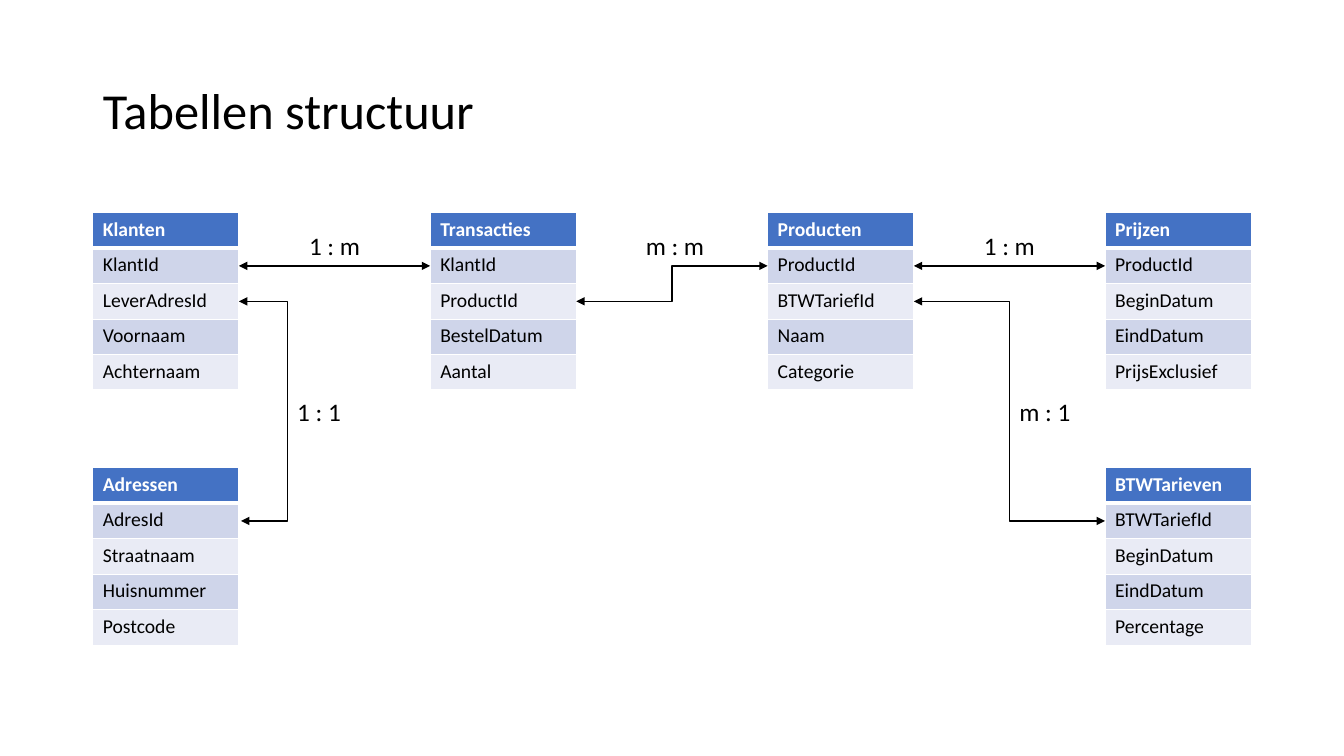
from lxml import etree
from pptx import Presentation
from pptx.dml.color import RGBColor
from pptx.enum.shapes import MSO_CONNECTOR
from pptx.enum.text import MSO_ANCHOR, MSO_AUTO_SIZE, PP_ALIGN
from pptx.oxml.ns import qn
from pptx.util import Inches, Pt

STRAIGHT, ELBOW = MSO_CONNECTOR.STRAIGHT, MSO_CONNECTOR.ELBOW
MIDDLE, NO_FIT = MSO_ANCHOR.MIDDLE, MSO_AUTO_SIZE.NONE
LEFT, CENTER = PP_ALIGN.LEFT, PP_ALIGN.CENTER

COLORS = {"ink": "000000", "paper": "FFFFFF", "head": "4472C4",
          "odd": "CFD5EA", "even": "E9EBF5"}
FONT = "Calibri"
EDGE, LAST = 0.92, 10.96
STEP = (LAST - EDGE) / 3
WIDTH, ROW = 1.45, 1.76 / 5
TOP, LOW = 2.11, 4.64
TAG_W, TAG_H = 0.8, 0.4

# name: (column, top, fields)
TABLES = {
    "Klanten": (0, TOP, ["KlantId", "LeverAdresId", "Voornaam", "Achternaam"]),
    "Transacties": (1, TOP, ["KlantId", "ProductId", "BestelDatum", "Aantal"]),
    "Producten": (2, TOP, ["ProductId", "BTWTariefId", "Naam", "Categorie"]),
    "Prijzen": (3, TOP, ["ProductId", "BeginDatum", "EindDatum", "PrijsExclusief"]),
    "Adressen": (0, LOW, ["AdresId", "Straatnaam", "Huisnummer", "Postcode"]),
    "BTWTarieven": (3, LOW, ["BTWTariefId", "BeginDatum", "EindDatum", "Percentage"]),
}


def color(name):
    return RGBColor.from_string(COLORS[name])


def style(para, size, ink="ink", bold=False):
    font = para.font
    font.name, font.size, font.bold = FONT, Pt(size), bold
    font.color.rgb = color(ink)


def add_title(slide, text, x, y, w, h):
    title = slide.shapes.title
    title.left, title.top = Inches(x), Inches(y)
    title.width, title.height = Inches(w), Inches(h)
    frame = title.text_frame
    frame.text = text
    frame.vertical_anchor, frame.auto_size = MIDDLE, NO_FIT
    para = frame.paragraphs[0]
    para.alignment, para.line_spacing = LEFT, 0.9
    style(para, 36)


def set_edges(cell, row):
    """Draw white cell borders, thick between header and fields."""
    props = cell._tc.get_or_add_tcPr()
    widths = {"lnL": 1, "lnR": 1, "lnT": 3 if row == 1 else 1,
              "lnB": 3 if row == 0 else 1}
    for tag, width in widths.items():
        line = etree.SubElement(props, qn(f"a:{tag}"), w=str(Pt(width)))
        fill = etree.SubElement(line, qn("a:solidFill"))
        etree.SubElement(fill, qn("a:srgbClr"), val=COLORS["paper"])


def add_entity(slide, name, fields, x, y):
    texts = [name] + fields
    frame = slide.shapes.add_table(len(texts), 1, Inches(x), Inches(y),
                                   Inches(WIDTH), Inches(ROW * len(texts)))
    for row, text in enumerate(texts):
        frame.table.rows[row].height = Inches(ROW)
        cell = frame.table.cell(row, 0)
        cell.text = text
        set_edges(cell, row)
        cell.fill.solid()
        cell.fill.fore_color.rgb = color(
            "head" if row == 0 else "odd" if row % 2 else "even")
        style(cell.text_frame.paragraphs[0], 14,
              "ink" if row else "paper", row == 0)


def get_port(name, row, right):
    """Return the point at the side of a table row."""
    col, top, _ = TABLES[name]
    return EDGE + col * STEP + right * WIDTH, top + (row + 0.5) * ROW


def add_link(slide, start, end, bend=None):
    """Join two points; bend is how far the elbow lies from the start."""
    kind = STRAIGHT if start[1] == end[1] else ELBOW
    link = slide.shapes.add_connector(kind, *map(Inches, start + end))
    link.line.width = Pt(1)
    link.line.color.rgb = color("ink")
    line = link.line._ln
    for tag in ("headEnd", "tailEnd"):
        etree.SubElement(line, qn(f"a:{tag}"), type="triangle")
    props = link._element.spPr
    etree.SubElement(props, qn("a:effectLst"))
    if bend:
        guides = props.find(qn("a:prstGeom")).get_or_add_avLst()
        share = round(bend / (end[0] - start[0]) * 100000)
        etree.SubElement(guides, qn("a:gd"), name="adj1", fmla=f"val {share}")


def add_tag(slide, text, x, y, align):
    box = slide.shapes.add_textbox(Inches(x), Inches(y),
                                   Inches(TAG_W), Inches(TAG_H))
    box.text_frame.text = text
    para = box.text_frame.paragraphs[0]
    para.alignment = align
    box.text_frame.word_wrap = True
    style(para, 18)


def add_links(slide):
    across = [("Klanten", 1, "Transacties", "1 : m", 0),
              ("Transacties", 2, "Producten", "m : m", 0.03),
              ("Producten", 1, "Prijzen", "1 : m", 0)]
    for source, row, target, text, shift in across:
        start, end = get_port(source, row, True), get_port(target, 1, False)
        add_link(slide, start, end)
        add_tag(slide, text, (start[0] + end[0] - TAG_W) / 2 + shift,
                TOP + 0.13, CENTER)

    x, y = get_port("Adressen", 1, True)
    down = [("Klanten", (x + 0.02, y), 0.48, "1 : 1"),
            ("Producten", get_port("BTWTarieven", 1, False),
             (STEP - WIDTH) / 2, "m : 1")]
    for source, end, bend, text in down:
        start = get_port(source, 2, True)
        add_link(slide, start, end, bend)
        add_tag(slide, text, start[0] + bend,
                (start[1] + end[1] - TAG_H) / 2, LEFT)


def main():
    deck = Presentation()
    deck.slide_width, deck.slide_height = Inches(13.33), Inches(7.5)
    slide = deck.slides.add_slide(deck.slide_layouts[5])
    add_title(slide, "Tabellen structuur", EDGE, 0.4, 11.5, 1.45)
    for name, (col, top, fields) in TABLES.items():
        add_entity(slide, name, fields, EDGE + col * STEP, top)
    add_links(slide)
    deck.save("out.pptx")


if __name__ == "__main__":
    main()
